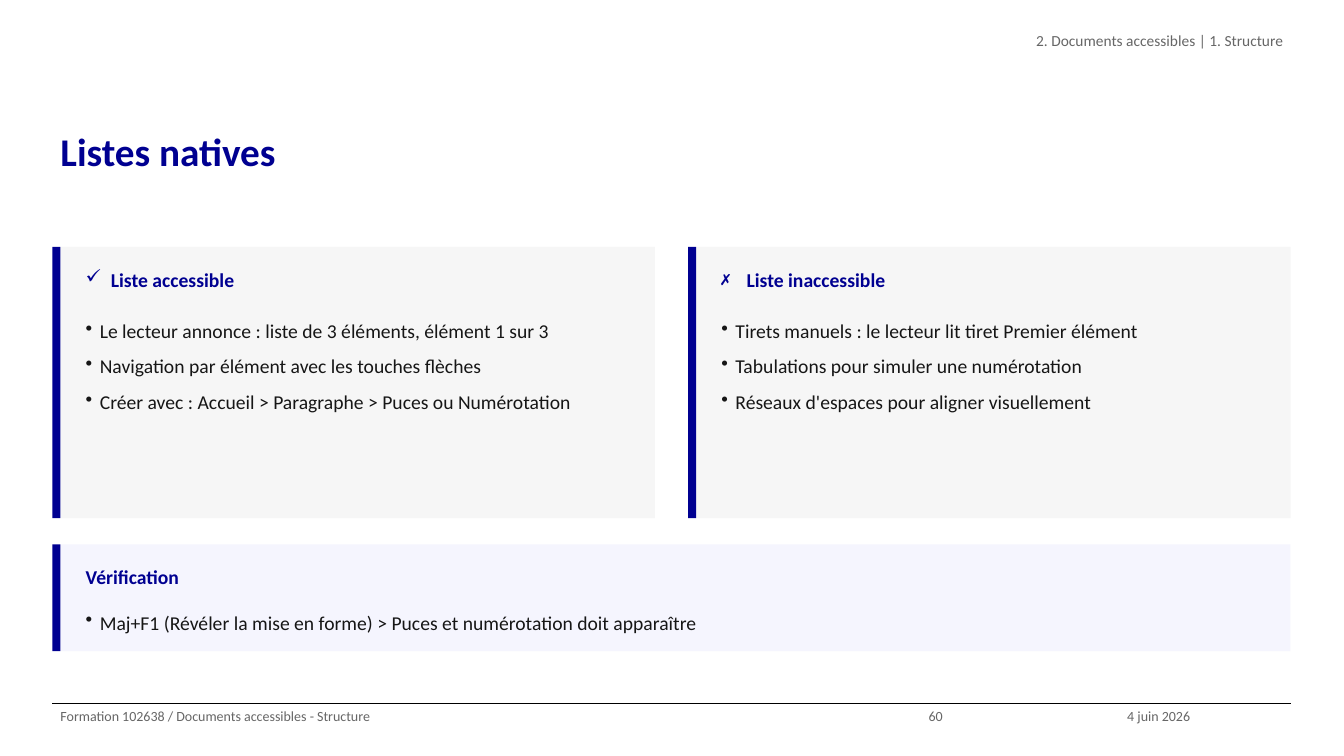
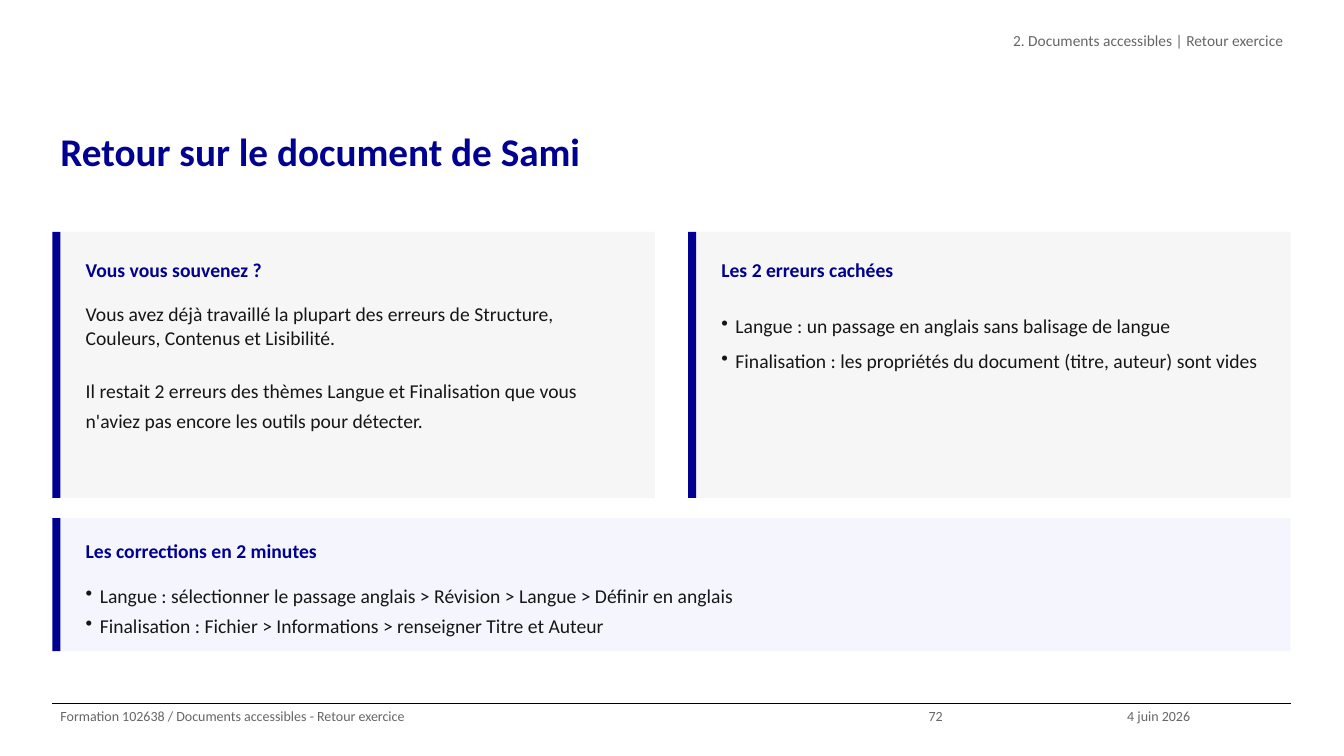
from lxml.etree import SubElement
from pptx import Presentation
from pptx.dml.color import RGBColor as RGB
from pptx.enum.shapes import MSO_CONNECTOR as CONN, MSO_SHAPE as SHAPE
from pptx.enum.text import MSO_ANCHOR as ANCHOR, MSO_AUTO_SIZE as FIT, PP_ALIGN as AL
from pptx.oxml.ns import qn
from pptx.util import Inches, Pt

COLORS = {
    "blue": "000091",
    "text": "161616",
    "muted": "666666",
    "column": "F6F6F6",
    "band": "F5F5FE",
    "rule": "000000",
}
STYLES = {
    "title": {"name": "Calibri", "size": Pt(28), "bold": True, "color": "blue"},
    "heading": {"name": "Calibri", "size": Pt(14), "bold": True, "color": "blue"},
    "body": {"name": "Calibri", "size": Pt(14), "bold": False, "color": "text"},
    "header": {"name": "Calibri", "size": Pt(11), "bold": False, "color": "muted"},
    "footer": {"name": "Calibri", "size": Pt(10), "bold": False, "color": "muted"},
}
LEFT, WIDTH, GAP = 0.52, 12.28, 0.33
BAR, TEXT_LEFT, HEADING_H = 0.08, 0.25, 0.35
FOOTER_TOP, FOOTER_H = 6.98, 0.52
BULLET_INDENT, MARK_INDENT = 0.14, 0.25
DATE = "4 juin 2026"


def rgb(key):
    return RGB.from_string(COLORS[key])


def set_bullet(p, char, indent):
    pPr = p._p.get_or_add_pPr()
    pPr.set("marL", str(Inches(indent)))
    pPr.set("indent", str(-Inches(indent)))
    SubElement(pPr, qn("a:buChar")).set("char", char)


def write(p, text, style, spacing=1.25, before=0, align=AL.LEFT, bullet=None, indent=BULLET_INDENT):
    if bullet:
        set_bullet(p, bullet, indent)
    formats = {"line_spacing": spacing, "space_before": Pt(before), "alignment": align}
    for name, value in formats.items():
        setattr(p, name, value)
    r = p.add_run()
    r.text = text
    for name, value in STYLES[style].items():
        if name == "color":
            r.font.color.rgb = rgb(value)
        else:
            setattr(r.font, name, value)


def set_frame(tf, inset):
    formats = {
        "word_wrap": True, "auto_size": FIT.NONE, "vertical_anchor": ANCHOR.TOP,
        "margin_left": Inches(0.08), "margin_right": Inches(0.08),
        "margin_top": Inches(inset), "margin_bottom": Inches(inset),
    }
    for name, value in formats.items():
        setattr(tf, name, value)


def add_text(s, box, paragraphs, style, inset=0.0):
    tf = s.shapes.add_textbox(*map(Inches, box)).text_frame
    set_frame(tf, inset)
    for i, options in enumerate(paragraphs):
        p = tf.add_paragraph() if i else tf.paragraphs[0]
        write(p, style=style, **options)


def add_rect(s, box, color):
    sp = s.shapes.add_shape(SHAPE.RECTANGLE, *map(Inches, box))
    sp.shadow.inherit = False
    sp.fill.solid()
    sp.fill.fore_color.rgb = rgb(color)
    sp.line.fill.background()


def add_card(s, box, color, heading, body, pad):
    x, y, w, h = box
    add_rect(s, (x + BAR, y, w - BAR, h), color)
    add_rect(s, (x, y, BAR, h), "blue")
    text_x, text_w = x + TEXT_LEFT, w - TEXT_LEFT - pad
    body_top = HEADING_H + 2 * pad
    add_text(s, (text_x, y + pad, text_w, HEADING_H), [heading], "heading", 0.05)
    add_text(s, (text_x, y + body_top, text_w, h - body_top - pad), body, "body", 0.05)


def add_title(s, box, text):
    title = s.shapes.title
    for name, value in zip(("left", "top", "width", "height"), box):
        setattr(title, name, Inches(value))
    set_frame(title.text_frame, 0)
    write(title.text_frame.paragraphs[0], text, "title")


def add_footer(s, box, label, number):
    x, y, w, h = box
    rule = s.shapes.add_connector(CONN.STRAIGHT, *map(Inches, (x, y, x + w, y)))
    rule.line.color.rgb = rgb("rule")
    rule.line.width = Pt(0.8)
    SubElement(rule._element.spPr, qn("a:effectLst"))
    for text, width in ((label, 8.61), (number, 1.97), (DATE, 1.71)):
        add_text(s, (x, y, width, h), [{"text": text}], "footer")
        x += width


def add_page(prs, page):
    s = prs.slides.add_slide(prs.slide_layouts[5])
    add_title(s, (LEFT, 1.15, WIDTH, 1.05), page["title"])
    add_text(s, (4.83, 0.26, 7.98, 0.52), [{"text": page["header"], "align": AL.RIGHT}], "header")
    col_w = (WIDTH - GAP) / 2
    for i, (heading, body) in enumerate(page["columns"]):
        box = (LEFT + i * (col_w + GAP), page["top"], col_w, page["height"])
        add_card(s, box, "column", heading, body, page["pad"])
    heading, body = page["band"]
    band_box = (LEFT, page["band_top"], WIDTH, 6.46 - page["band_top"])
    add_card(s, band_box, "band", heading, body, 0.1)
    add_footer(s, (LEFT, FOOTER_TOP, WIDTH, FOOTER_H), page["footer"], page["number"])


def bullets(*texts, spacing=1.5):
    return [{"text": text, "bullet": "•", "spacing": spacing} for text in texts]


def marked(mark, text):
    return {"text": text, "bullet": mark, "indent": MARK_INDENT}


PAGES = [
    {
        "title": "Listes natives",
        "header": "2. Documents accessibles | 1. Structure",
        "footer": "Formation 102638 / Documents accessibles - Structure",
        "number": "60",
        "top": 2.45, "height": 2.69, "pad": 0.1, "band_top": 5.4,
        "columns": [
            (marked("✓", "Liste accessible"), bullets(
                "Le lecteur annonce : liste de 3 éléments, élément 1 sur 3",
                "Navigation par élément avec les touches flèches",
                "Créer avec : Accueil > Paragraphe > Puces ou Numérotation")),
            (marked("✗", "Liste inaccessible"), bullets(
                "Tirets manuels : le lecteur lit tiret Premier élément",
                "Tabulations pour simuler une numérotation",
                "Réseaux d'espaces pour aligner visuellement")),
        ],
        "band": ({"text": "Vérification"}, bullets(
            "Maj+F1 (Révéler la mise en forme) > Puces et numérotation doit apparaître",
            spacing=1.25)),
    },
    {
        "title": "Retour sur le document de Sami",
        "header": "2. Documents accessibles | Retour exercice",
        "footer": "Formation 102638 / Documents accessibles - Retour exercice",
        "number": "72",
        "top": 2.3, "height": 2.64, "pad": 0.15, "band_top": 5.14,
        "columns": [
            ({"text": "Vous vous souvenez ?"}, [
                {"text": "Vous avez déjà travaillé la plupart des erreurs de Structure, "
                         "Couleurs, Contenus et Lisibilité.", "spacing": 1.0},
                {"text": "Il restait 2 erreurs des thèmes Langue et Finalisation que vous "
                         "n'aviez pas encore les outils pour détecter.", "before": 17},
            ]),
            ({"text": "Les 2 erreurs cachées"}, bullets(
                "Langue : un passage en anglais sans balisage de langue",
                "Finalisation : les propriétés du document (titre, auteur) sont vides")),
        ],
        "band": ({"text": "Les corrections en 2 minutes"}, bullets(
            "Langue : sélectionner le passage anglais > Révision > Langue > Définir en anglais",
            "Finalisation : Fichier > Informations > renseigner Titre et Auteur",
            spacing=1.25)),
    },
]


def main():
    prs = Presentation()
    prs.slide_width, prs.slide_height = Inches(13.33), Inches(7.5)
    for page in PAGES:
        add_page(prs, page)
    prs.save("out.pptx")


if __name__ == "__main__":
    main()
